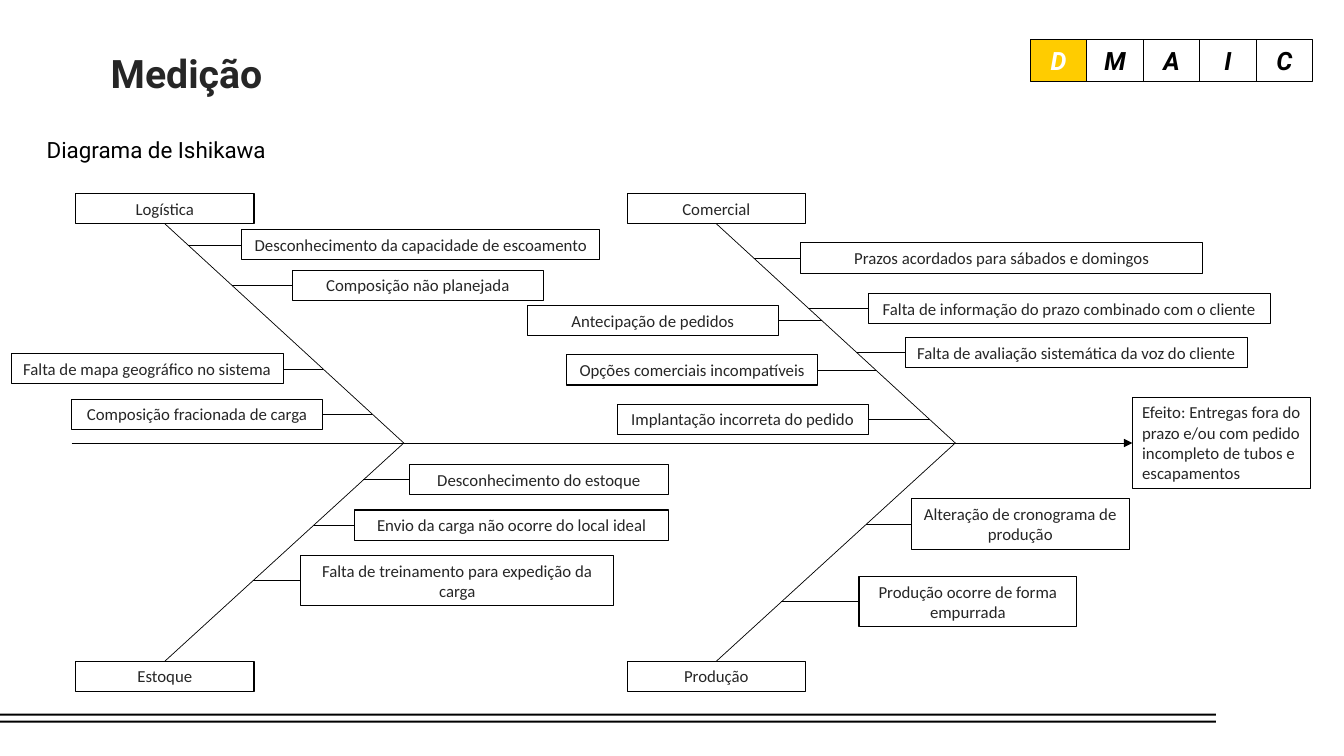
from lxml.etree import SubElement
from pptx import Presentation
from pptx.dml.color import RGBColor
from pptx.enum.shapes import MSO_CONNECTOR, MSO_SHAPE
from pptx.enum.text import MSO_ANCHOR, MSO_AUTO_SIZE, PP_ALIGN
from pptx.oxml.ns import qn
from pptx.util import Inches, Pt

TOP, LEFT, BOTTOM, RIGHT = range(4)
HEAD_WIDTH, ROW_HEIGHT = 1.77, 0.3
EFFECT = (11.23, 3.94, HEAD_WIDTH, 0.91)
SPINE_Y = EFFECT[1] + EFFECT[3] / 2
BONE_REACH = 2.37
UPPER_TOP, LOWER_TOP = 1.92, 6.56

# Category, left, top, causes as (wording, left, top, width, height)
BRANCHES = [
    ("Logística", 0.75, UPPER_TOP, [
        ("Desconhecimento da capacidade de escoamento", 2.4, 2.28, 3.55, ROW_HEIGHT),
        ("Composição não planejada", 2.9, 2.68, 2.49, ROW_HEIGHT),
        ("Falta de mapa geográfico no sistema", 0.11, 3.51, 2.7, ROW_HEIGHT),
        ("Composição fracionada de carga", 0.71, 3.96, 2.49, ROW_HEIGHT),
    ]),
    ("Comercial", 6.22, UPPER_TOP, [
        ("Prazos acordados para sábados e domingos", 7.94, 2.41, 3.99, ROW_HEIGHT),
        ("Falta de informação do prazo combinado com o cliente", 8.61, 2.91, 3.99, ROW_HEIGHT),
        ("Antecipação de pedidos", 5.23, 3.03, 2.49, ROW_HEIGHT),
        ("Falta de avaliação sistemática da voz do cliente", 8.98, 3.35, 3.39, ROW_HEIGHT),
        ("Opções comerciais incompatíveis", 5.62, 3.52, 2.49, ROW_HEIGHT),
        ("Implantação incorreta do pedido", 6.12, 4.01, 2.49, ROW_HEIGHT),
    ]),
    ("Estoque", 0.75, LOWER_TOP, [
        ("Desconhecimento do estoque", 4.06, 4.61, 2.57, ROW_HEIGHT),
        ("Envio da carga não ocorre do local ideal", 3.52, 5.06, 3.11, ROW_HEIGHT),
        ("Falta de treinamento para expedição da carga", 2.98, 5.51, 3.11, 0.5),
    ]),
    ("Produção", 6.22, LOWER_TOP, [
        ("Alteração de cronograma de produção", 9.04, 4.95, 2.16, 0.5),
        ("Produção ocorre de forma empurrada", 8.52, 5.72, 2.16, 0.5),
    ]),
]


def color(value):
    return RGBColor.from_string(value)


def apply(target, values):
    for name, value in values.items():
        setattr(target, name, value)


class FishbonePage:
    """Draws on one page with a shared style."""

    ink, text_ink, accent = "000000", "262626", "FFCC00"
    box_font = {"name": "Calibri", "size": Pt(12)}
    step_font = {"name": "Roboto", "size": Pt(18), "bold": True, "italic": True}
    title_font = {"name": "Roboto", "size": Pt(28), "bold": True}
    subtitle_font = {"name": "Roboto", "size": Pt(16)}
    box_frame = {"word_wrap": True, "auto_size": MSO_AUTO_SIZE.SHAPE_TO_FIT_TEXT,
                 "vertical_anchor": MSO_ANCHOR.TOP}
    step_frame = {"word_wrap": False, "vertical_anchor": MSO_ANCHOR.MIDDLE,
                  "margin_left": 0, "margin_right": 0, "margin_top": 0, "margin_bottom": 0}

    def __init__(self, page):
        self.shapes = page.shapes

    def put_text(self, shape, wording, font, ink, frame, para_format):
        apply(shape.text_frame, frame)
        para = shape.text_frame.paragraphs[0]
        apply(para, para_format)
        span = para.add_run()
        span.text = wording
        apply(span.font, font)
        span.font.color.rgb = color(ink)

    def rectangle(self, area, fill=None, outlined=True):
        box = self.shapes.add_shape(MSO_SHAPE.RECTANGLE, *map(Inches, area))
        box.shadow.inherit = False
        if fill:
            box.fill.solid()
            box.fill.fore_color.rgb = color(fill)
        else:
            box.fill.background()
        if outlined:
            box.line.color.rgb = color(self.ink)
            box.line.width = Pt(0.75)
        else:
            box.line.fill.background()
        return box

    def label(self, wording, area, align=PP_ALIGN.CENTER):
        box = self.rectangle(area)
        self.put_text(box, wording, self.box_font, self.text_ink, self.box_frame,
                      {"alignment": align})
        return box

    def step(self, letter, area, active):
        box = self.rectangle(area, self.accent if active else None)
        self.put_text(box, letter, self.step_font, "FFFFFF" if active else self.ink,
                      self.step_frame, {"alignment": PP_ALIGN.CENTER})

    def heading(self, wording, area, font, ink, anchor, para_format):
        box = self.shapes.add_textbox(*map(Inches, area))
        self.put_text(box, wording, font, ink,
                      {"word_wrap": True, "vertical_anchor": anchor}, para_format)

    def line(self, start, end, arrow=False):
        connector = self.shapes.add_connector(
            MSO_CONNECTOR.STRAIGHT, *map(Inches, (*start, *end)))
        connector.line.color.rgb = color(self.ink)
        connector.line.width = Pt(0.5)
        properties = connector._element.spPr
        if arrow:
            SubElement(properties.find(qn("a:ln")), qn("a:tailEnd"), type="triangle")
        SubElement(properties, qn("a:effectLst"))
        return connector

    def branch(self, category, left, top, causes):
        """Draws a category, its bone to the spine and a twig from each cause."""
        upper = top < SPINE_Y
        head = self.label(category, (left, top, HEAD_WIDTH, ROW_HEIGHT))
        root_x = left + HEAD_WIDTH / 2
        root_y = top + ROW_HEIGHT if upper else top
        bone = self.line((root_x, root_y), (root_x + BONE_REACH, SPINE_Y))
        bone.begin_connect(head, BOTTOM if upper else TOP)
        for wording, cause_left, cause_top, width, height in causes:
            cause = self.label(wording, (cause_left, cause_top, width, height))
            y = cause_top + height / 2
            tip_x = root_x + BONE_REACH * (y - root_y) / (SPINE_Y - root_y)
            on_right = cause_left > tip_x
            start_x = cause_left if on_right else cause_left + width
            twig = self.line((start_x, y), (tip_x, y))
            twig.begin_connect(cause, LEFT if on_right else RIGHT)


def main():
    deck = Presentation()
    deck.slide_width, deck.slide_height = Inches(13.33), Inches(7.5)
    page = FishbonePage(deck.slides.add_slide(deck.slide_layouts[6]))

    for top in (7.08, 7.15):
        page.rectangle((0, top, 12.06, 0.02), page.ink, outlined=False)
    page.heading("Medição", (1, 0.38, 11.33, 0.74), page.title_font, page.text_ink,
                 MSO_ANCHOR.MIDDLE, {"line_spacing": 0.9})
    page.heading("Diagrama de Ishikawa", (0.32, 1.3, 2.46, 0.36), page.subtitle_font, page.ink,
                 MSO_ANCHOR.TOP, {"alignment": PP_ALIGN.CENTER, "space_before": Pt(3.2)})
    step_width = 0.56
    for index, letter in enumerate("DMAIC"):
        page.step(letter, (10.22 + index * step_width, 0.39, step_width, 0.42), index == 0)

    effect = page.label("Efeito: Entregas fora do prazo e/ou com pedido incompleto de tubos "
                        "e escapamentos", EFFECT, PP_ALIGN.LEFT)
    spine = page.line((0.71, SPINE_Y), (EFFECT[0], SPINE_Y), arrow=True)
    spine.end_connect(effect, LEFT)
    for branch in BRANCHES:
        page.branch(*branch)
    deck.save("out.pptx")


if __name__ == "__main__":
    main()
